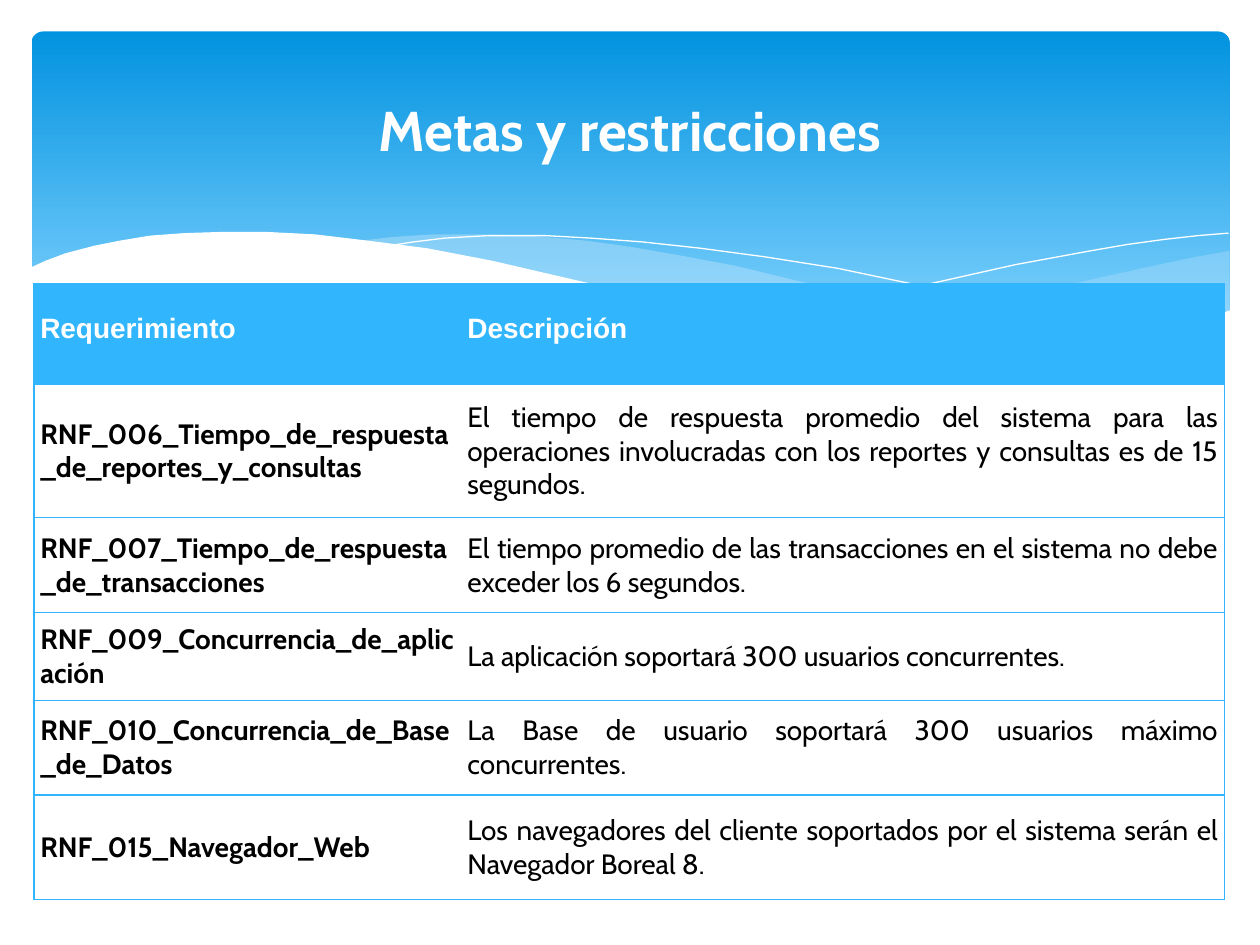
import pptx
import pptx.dml.color
import pptx.enum.shapes
import pptx.enum.text
import pptx.oxml
import pptx.oxml.ns
import pptx.util
from pptx.util import Inches

WHITE = pptx.dml.color.RGBColor(0xFF, 0xFF, 0xFF)
BLACK = pptx.dml.color.RGBColor(0x00, 0x00, 0x00)
BLUE = pptx.dml.color.RGBColor(0x31, 0xB6, 0xFD)
DEEP_BLUE = pptx.dml.color.RGBColor(0x02, 0x93, 0xE0)
SKY_BLUE = pptx.dml.color.RGBColor(0x83, 0xD3, 0xFE)
PALE_BLUE = pptx.dml.color.RGBColor(0xC6, 0xE7, 0xFC)
NO_GRID_STYLE = "{2D5ABB26-0587-4C30-8999-92F81FD0307C}"
NAMESPACE = pptx.oxml.ns.nsdecls("a")


def add_wave(slide, points, fill_color=None, opacity=100):
    corners = [(Inches(x), Inches(y)) for x, y in points]
    builder = slide.shapes.build_freeform(*corners[0], scale=1.0)
    builder.add_line_segments(corners[1:], close=fill_color is not None)
    shape = builder.convert_to_shape()
    shape.shadow.inherit = False
    if fill_color is None:
        shape.fill.background()
        shape.line.color.rgb = WHITE
        shape.line.width = pptx.util.Pt(0)
        return
    shape.line.fill.background()
    shape.fill.solid()
    shape.fill.fore_color.rgb = fill_color
    if opacity < 100:
        color = shape.fill._xPr.find(".//" + pptx.oxml.ns.qn("a:srgbClr"))
        color.append(pptx.oxml.parse_xml(f'<a:alpha {NAMESPACE} val="{opacity * 1000}"/>'))


def add_border(cell, side):
    cell._tc.get_or_add_tcPr().append(pptx.oxml.parse_xml(
        f'<a:{side} {NAMESPACE} w="9525"><a:solidFill>'
        f'<a:srgbClr val="{BLUE}"/></a:solidFill></a:{side}>'))


presentation = pptx.Presentation()
presentation.slide_width = Inches(10)
presentation.slide_height = Inches(7.5)
slide = presentation.slides.add_slide(presentation.slide_layouts[5])

banner = slide.shapes.add_shape(
    pptx.enum.shapes.MSO_SHAPE.ROUNDED_RECTANGLE,
    Inches(0.25), Inches(0.25), Inches(9.51), Inches(2.7))
banner.adjustments[0] = 0.034
banner.shadow.inherit = False
banner.line.fill.background()
banner.fill.gradient()
banner.fill.gradient_angle = 270
for stop, color, position in zip(banner.fill.gradient_stops, (DEEP_BLUE, SKY_BLUE), (0, 0.9)):
    stop.color.rgb = color
    stop.position = position

right_wave = [
    (9.76, 1.99), (9.48, 2.04), (9.06, 2.13), (8.61, 2.23), (8.05, 2.37), (7.53, 2.48),
    (7.06, 2.57), (6.61, 2.65), (6.91, 2.69), (7.32, 2.74), (7.69, 2.77), (8.03, 2.78),
    (8.35, 2.77), (8.63, 2.75), (8.89, 2.72), (9.13, 2.67), (9.35, 2.61), (9.76, 2.47)]
middle_wave = [
    (8.93, 2.73), (8.37, 2.65), (7.75, 2.54), (7.06, 2.4), (6.29, 2.22), (5.84, 2.11),
    (5.41, 2.03), (5.01, 1.96), (4.65, 1.91), (4.2, 1.87), (3.8, 1.86), (3.44, 1.86),
    (3.13, 1.88), (2.86, 1.91), (3.23, 1.96), (3.62, 2.03), (4.04, 2.11), (4.49, 2.22),
    (5.3, 2.4), (6.01, 2.55), (6.5, 2.64), (6.95, 2.7), (7.36, 2.75), (7.73, 2.77),
    (8.07, 2.78), (8.48, 2.77), (8.93, 2.73)]
falling_line = [
    (3.09, 1.95), (3.28, 1.92), (3.53, 1.89), (3.87, 1.87), (4.33, 1.87), (4.69, 1.89),
    (5.1, 1.92), (5.56, 1.97), (6.08, 2.04), (6.65, 2.13), (7.27, 2.26), (7.95, 2.41),
    (8.31, 2.51), (9.07, 2.72)]
rising_line = [
    (6.13, 2.57), (6.52, 2.46), (6.95, 2.35), (7.48, 2.23), (8.06, 2.1), (8.66, 1.99),
    (8.95, 1.94), (9.24, 1.9), (9.51, 1.87), (9.75, 1.85)]
white_wave = [
    (9.77, 2.46), (9.5, 2.56), (9.2, 2.65), (8.87, 2.71), (8.5, 2.75), (8.09, 2.77),
    (7.61, 2.75), (7.08, 2.7), (6.47, 2.62), (5.79, 2.5), (5.03, 2.33), (4.47, 2.2),
    (3.91, 2.07), (3.39, 1.97), (2.92, 1.91), (2.5, 1.86), (2.11, 1.84), (1.77, 1.84),
    (1.46, 1.85), (1.19, 1.87), (0.95, 1.91), (0.75, 1.95), (0.52, 2.01), (0.36, 2.07),
    (0.23, 2.13), (0.23, 3.29), (9.77, 3.29)]
add_wave(slide, right_wave, PALE_BLUE, 29)
add_wave(slide, middle_wave, PALE_BLUE, 40)
add_wave(slide, falling_line)
add_wave(slide, rising_line)
add_wave(slide, white_wave, WHITE)

title = slide.shapes.title
slide.shapes._spTree.append(title._element)
title.left, title.top, title.width, title.height = (
    Inches(0.5), Inches(0.37), Inches(9), Inches(1.37))
title.text_frame.text = "Metas y restricciones"
title.text_frame.vertical_anchor = pptx.enum.text.MSO_ANCHOR.MIDDLE
paragraph = title.text_frame.paragraphs[0]
paragraph.alignment = pptx.enum.text.PP_ALIGN.CENTER
paragraph.line_spacing = 0.9
font = paragraph.runs[0].font
font.name, font.size, font.bold = "Cabin", pptx.util.Pt(32), True
font.color.rgb = WHITE

rows = [
    ("Requerimiento", "Descripción"),
    ("RNF_006_Tiempo_de_respuesta_de_reportes_y_consultas",
     "El tiempo de respuesta promedio del sistema para las operaciones involucradas "
     "con los reportes y consultas es de 15 segundos."),
    ("RNF_007_Tiempo_de_respuesta_de_transacciones",
     "El tiempo promedio de las transacciones en el sistema no debe exceder los 6 segundos."),
    ("RNF_009_Concurrencia_de_aplicación",
     "La aplicación soportará 300 usuarios concurrentes."),
    ("RNF_010_Concurrencia_de_Base_de_Datos",
     "La Base de usuario soportará 300 usuarios máximo concurrentes."),
    ("RNF_015_Navegador_Web",
     "Los navegadores del cliente soportados por el sistema serán el Navegador Boreal 8."),
]
row_heights = [0.8, 1.06, 0.75, 0.7, 0.75, 0.83]
column_widths = [3.39, 6.06]
table = slide.shapes.add_table(
    len(rows), len(column_widths), Inches(0.27), Inches(2.25),
    Inches(sum(column_widths)), Inches(sum(row_heights))).table
table._tbl.tblPr.find(pptx.oxml.ns.qn("a:tableStyleId")).text = NO_GRID_STYLE
table.horz_banding = False
for column, width in zip(table.columns, column_widths):
    column.width = Inches(width)

for row_index, (texts, height) in enumerate(zip(rows, row_heights)):
    table.rows[row_index].height = Inches(height)
    is_header = row_index == 0
    for column_index, text in enumerate(texts):
        cell = table.cell(row_index, column_index)
        cell.margin_left = cell.margin_right = Inches(0.05)
        cell.margin_top = cell.margin_bottom = 0
        cell.vertical_anchor = pptx.enum.text.MSO_ANCHOR.MIDDLE
        for side in ("lnR" if column_index else "lnL", "lnT", "lnB"):
            add_border(cell, side)
        cell.fill.solid()
        cell.fill.fore_color.rgb = BLUE if is_header else WHITE
        cell.text_frame.text = text
        paragraph = cell.text_frame.paragraphs[0]
        if is_header:
            paragraph.line_spacing = pptx.util.Pt(12)
        elif column_index == 1:
            paragraph.alignment = pptx.enum.text.PP_ALIGN.JUSTIFY
        font = paragraph.runs[0].font
        font.name = "Arial" if is_header else "Cabin"
        font.size = pptx.util.Pt(16)
        font.bold = is_header or column_index == 0
        font.color.rgb = WHITE if is_header else BLACK

presentation.save("out.pptx")
